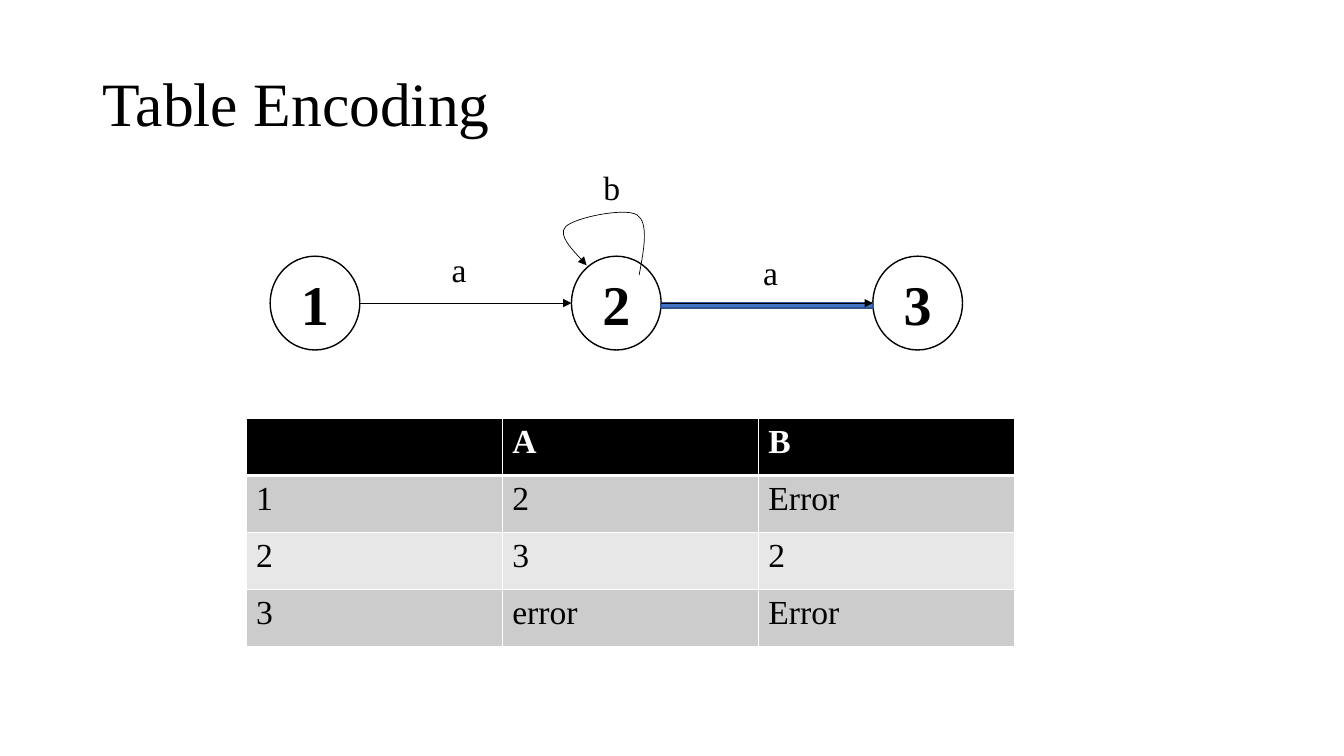
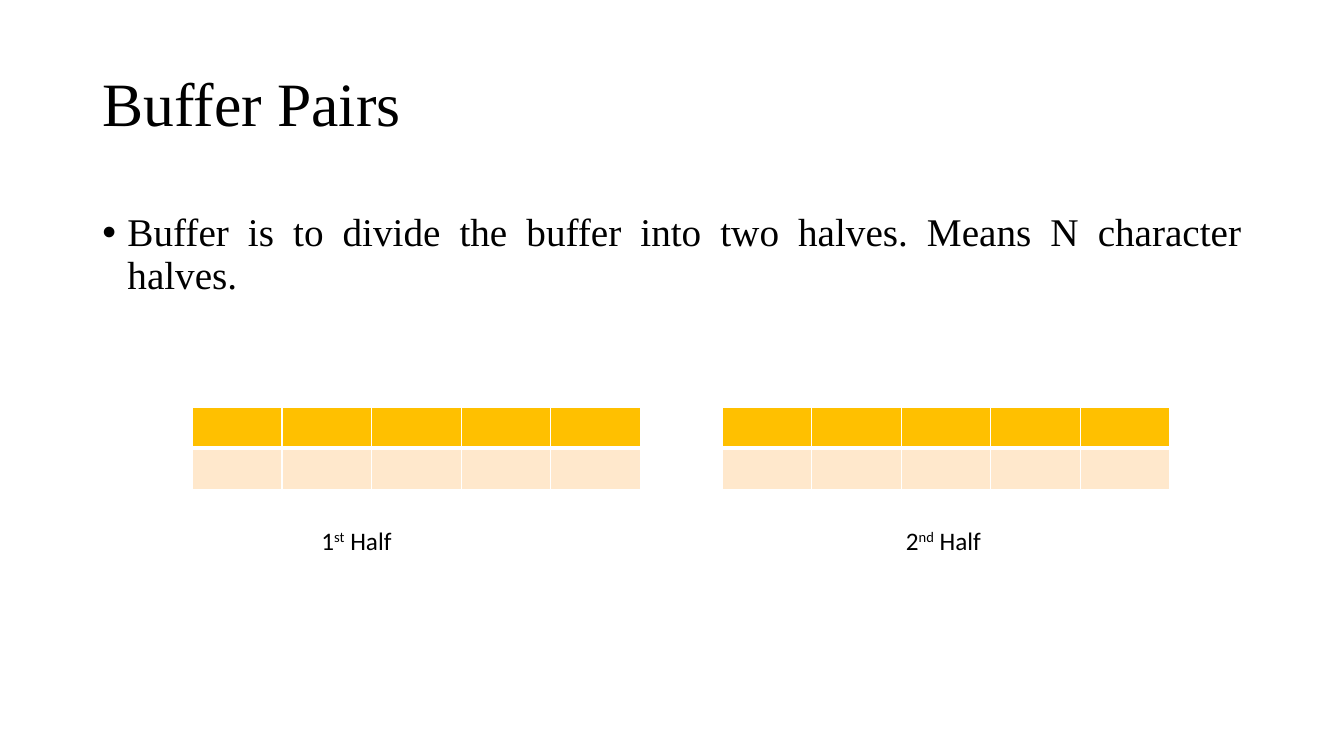
from lxml.etree import SubElement
from pptx import Presentation
from pptx.dml.color import RGBColor
from pptx.enum.shapes import MSO_CONNECTOR as CONN, MSO_SHAPE as SHAPE
from pptx.enum.text import MSO_ANCHOR as ANCHOR, MSO_AUTO_SIZE as AUTO, PP_ALIGN as ALIGN
from pptx.oxml.ns import qn
from pptx.util import Pt

COLORS = {
    "ink": "000000", "paper": "FFFFFF", "blue": "4472C4", "navy": "325491",
    "grey": "CCCCCC", "pale": "E7E7E7", "gold": "FFC000", "cream": "FFE8CC",
}
SERIF, SANS = "Times New Roman", "Calibri"


def rgb(name):
    return RGBColor.from_string(COLORS[name])


def box(*lengths):
    return [Pt(v) for v in lengths]


class Deck:
    def __init__(self):
        self.prs = Presentation()
        self.prs.slide_width, self.prs.slide_height = box(960, 540)
        self.s = None

    def slide(self, title):
        self.s = self.prs.slides.add_slide(self.prs.slide_layouts[5])
        sp = self.s.shapes.title
        sp.left, sp.top, sp.width, sp.height = box(66, 24, 828, 104)
        tf = sp.text_frame
        tf.auto_size = AUTO.NONE
        tf.vertical_anchor = ANCHOR.MIDDLE
        tf.text = title
        tf.paragraphs[0].line_spacing = 0.9
        self.style(tf.paragraphs[0], 44, align=ALIGN.LEFT)

    def style(self, p, size, font=SERIF, color="ink", bold=False, align=None):
        p.alignment = align
        p.font.name, p.font.size, p.font.bold = font, Pt(size), bold
        p.font.color.rgb = rgb(color)

    def outline(self, line, color, width):
        line.color.rgb = rgb(color)
        line.width = Pt(width)

    def arrowhead(self, shape):
        ln = shape.line._get_or_add_ln()
        SubElement(ln, qn("a:tailEnd"), type="triangle")

    def shape(self, kind, x, y, w, h, fill=None, line=None, text="", size=24, bold=False):
        sp = self.s.shapes.add_shape(kind, *box(x, y, w, h))
        sp.shadow.inherit = False
        if fill:
            sp.fill.solid()
            sp.fill.fore_color.rgb = rgb(fill)
        else:
            sp.fill.background()
        if line:
            self.outline(sp.line, line, 1)
        else:
            sp.line.fill.background()
        if text:
            tf = sp.text_frame
            tf.vertical_anchor = ANCHOR.MIDDLE
            tf.text = text
            self.style(tf.paragraphs[0], size, bold=bold, align=ALIGN.CENTER)

    def label(self, x, y, text):
        self.shape(SHAPE.RECTANGLE, x, y, 89, 32, fill="paper", text=text)

    def arrow(self, x1, x2, y):
        cn = self.s.shapes.add_connector(CONN.STRAIGHT, *box(x1, y, x2, y))
        self.outline(cn.line, "ink", 0.5)
        self.arrowhead(cn)
        SubElement(cn._element.spPr, qn("a:effectLst"))

    def curve(self, start, points):
        fb = self.s.shapes.build_freeform(*box(*start))
        fb.add_line_segments([box(*pt) for pt in points], close=False)
        sp = fb.convert_to_shape()
        sp.shadow.inherit = False
        sp.fill.background()
        self.outline(sp.line, "ink", 0.5)
        self.arrowhead(sp)
        segments = sp._element.xpath(".//a:lnTo")
        for i in range(0, len(segments), 3):
            bezier = SubElement(segments[i].getparent(), qn("a:cubicBezTo"))
            for segment in segments[i:i + 3]:
                bezier.append(segment[0])
                segment.getparent().remove(segment)

    def table(self, x, y, col_w, row_h, rows, header, bands, size):
        n_rows, n_cols = len(rows), len(rows[0])
        frame = self.s.shapes.add_table(
            n_rows, n_cols, *box(x, y, col_w * n_cols, row_h * n_rows))
        tbl = frame.table
        tbl.horz_banding = False
        for i, row in enumerate(rows):
            tbl.rows[i].height = Pt(row_h)
            fill = bands[(i - 1) % len(bands)] if i else header
            for j, text in enumerate(row):
                cell = tbl.cell(i, j)
                self.borders(cell, top=3 if i == 1 else 1, bottom=1 if i else 3)
                cell.fill.solid()
                cell.fill.fore_color.rgb = rgb(fill)
                cell.text = text
                self.style(cell.text_frame.paragraphs[0], size,
                           color="ink" if i else "paper", bold=i == 0)
        for col in tbl.columns:
            col.width = Pt(col_w)

    def borders(self, cell, top, bottom):
        tc_pr = cell._tc.get_or_add_tcPr()
        for side, width in (("L", 1), ("R", 1), ("T", top), ("B", bottom)):
            ln = SubElement(tc_pr, qn(f"a:ln{side}"), w=str(Pt(width)))
            solid = SubElement(ln, qn("a:solidFill"))
            SubElement(solid, qn("a:srgbClr"), val=COLORS["paper"])

    def textbox(self, x, y, w, h):
        tf = self.s.shapes.add_textbox(*box(x, y, w, h)).text_frame
        tf.word_wrap = True
        return tf

    def bullet(self, x, y, w, h, text):
        p = self.textbox(x, y, w, h).paragraphs[0]
        p.text = text
        p.line_spacing = 0.9
        p_pr = p._p.get_or_add_pPr()
        p_pr.set("marL", str(Pt(18)))
        p_pr.set("indent", str(Pt(-18)))
        SubElement(p_pr, qn("a:buFont"), typeface="Arial")
        SubElement(p_pr, qn("a:buChar"), char="•")
        self.style(p, 28, align=ALIGN.JUSTIFY)

    def caption(self, x, y, number, suffix, noun):
        tf = self.textbox(x, y, 172, 29)
        tf.auto_size = AUTO.SHAPE_TO_FIT_TEXT
        p = tf.paragraphs[0]
        for text in (number, suffix, noun):
            r = p.add_run()
            r.text = text
            if text == suffix:
                r._r.get_or_add_rPr().set("baseline", "30000")
        self.style(p, 18, font=SANS)


def table_encoding(deck):
    deck.slide("Table Encoding")
    left, step, top, w, h = 193, 215.25, 183, 64, 67
    axis = top + h / 2
    for i in range(3):
        deck.shape(SHAPE.OVAL, left + i * step, top, w, h, line="ink",
                   text=str(i + 1), size=40, bold=True)
    second, third = left + step, left + 2 * step
    deck.arrow(left + w, second, axis)
    deck.shape(SHAPE.RECTANGLE, second + w, axis, step - w, 3.5, fill="blue", line="navy")
    deck.arrow(second + w, third, axis)
    deck.curve((456.5, 196.5), [
        (460, 178), (463.5, 159), (455, 153.5),
        (446.5, 148), (410, 155.5), (404, 162),
        (398, 168, ), (419, 189.5), (419, 189.5)])
    for x, y, text in ((283.5, 176.5, "a"), (392.5, 117.5, "b"), (506, 178, "a")):
        deck.label(x, y, text)
    rows = [("", "A", "B"), ("1", "2", "Error"), ("2", "3", "2"), ("3", "error", "Error")]
    deck.table(175.75, 299, 183, 40.75, rows, "ink", ("grey", "pale"), 24)


def buffer_pairs(deck):
    deck.slide("Buffer Pairs")
    deck.bullet(66, 148.5, 828, 343,
                "Buffer is to divide the buffer into two halves. Means N character halves.")
    for x, caption_x, number, suffix in ((137.5, 222.5, "1", "st"), (515.75, 640, "2", "nd")):
        deck.table(x, 291, 64, 29.2, [[""] * 5] * 2, "gold", ("cream",), 18)
        deck.caption(caption_x, 371.5, number, suffix, " Half")


def main():
    deck = Deck()
    table_encoding(deck)
    buffer_pairs(deck)
    deck.prs.save("out.pptx")


if __name__ == "__main__":
    main()
